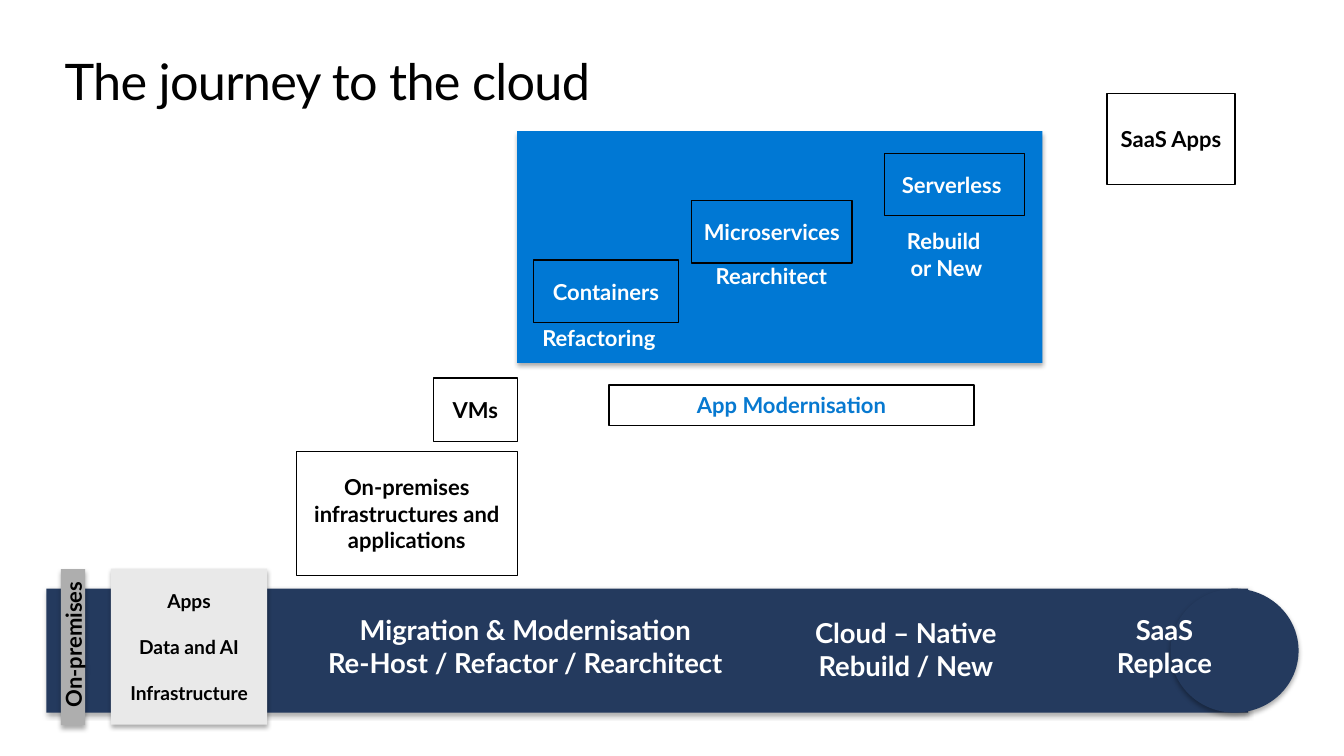
import pptx
import pptx.util
from lxml import etree
from pptx.dml.color import RGBColor
from pptx.enum.shapes import MSO_SHAPE
from pptx.enum.text import MSO_ANCHOR, PP_ALIGN
from pptx.oxml.ns import qn
from pptx.util import Inches, Pt

BLACK = RGBColor(0x00, 0x00, 0x00)
WHITE = RGBColor(0xFF, 0xFF, 0xFF)
AZURE = RGBColor(0x00, 0x78, 0xD4)
LABEL_BLUE = RGBColor(0x07, 0x79, 0xD0)
NAVY = RGBColor(0x24, 0x3A, 0x5E)
GREY = RGBColor(0xAE, 0xAE, 0xAE)
PALE_GREY = RGBColor(0xE9, 0xE9, 0xE9)


class JourneySlide:
    """Holds the slide, its text style and the shapes being added to."""

    font = "Lato"
    label_size = 15.7
    stage_size = 19.6

    def __init__(self, deck):
        self.slide = deck.slides.add_slide(deck.slide_layouts[5])
        self.target = self.slide.shapes

    def start_group(self):
        self.target = self.slide.shapes.add_group_shape().shapes

    def end_group(self):
        self.target = self.slide.shapes

    def set_text(self, shape, lines, size, color, bold=True, align=PP_ALIGN.CENTER,
                 anchor=MSO_ANCHOR.MIDDLE, side=0, edge=0.05, gap=0):
        frame = shape.text_frame
        frame_format = {
            "word_wrap": True, "vertical_anchor": anchor,
            "margin_left": Inches(side), "margin_right": Inches(side),
            "margin_top": Inches(edge), "margin_bottom": Inches(edge),
        }
        for name, value in frame_format.items():
            setattr(frame, name, value)
        frame.text = "\n".join(lines)
        font_format = {"name": self.font, "size": Pt(size), "bold": bold}
        for index, paragraph in enumerate(frame.paragraphs):
            paragraph.alignment = align
            paragraph.space_before = Pt(gap if index else 0)
            font = paragraph.runs[0].font
            for name, value in font_format.items():
                setattr(font, name, value)
            font.color.rgb = color

    def title(self, text, left, top, width, height):
        heading = self.slide.shapes.title
        place = {"left": left, "top": top, "width": width, "height": height}
        for name, value in place.items():
            setattr(heading, name, Inches(value))
        self.set_text(heading, [text], 36, BLACK, bold=False, align=PP_ALIGN.LEFT,
                      anchor=MSO_ANCHOR.TOP, edge=0)
        run = heading.text_frame.paragraphs[0].runs[0]
        run.font._element.set("spc", "-50")

    def panel(self, left, top, width, height, fill, kind=MSO_SHAPE.RECTANGLE):
        """Filled shape with a soft shadow straight below it."""
        panel = self.target.add_shape(kind, *map(Inches, (left, top, width, height)))
        panel.fill.solid()
        panel.fill.fore_color.rgb = fill
        panel.line.fill.background()
        effects = etree.SubElement(panel._element.spPr, qn("a:effectLst"))
        shadow = etree.SubElement(
            effects, qn("a:outerShdw"), blurRad=str(Pt(3.5)), dist=str(Pt(2.2)),
            dir="5400000", algn="t", rotWithShape="0")
        tint = etree.SubElement(shadow, qn("a:srgbClr"), val=str(BLACK))
        etree.SubElement(tint, qn("a:alpha"), val="32000")
        return panel

    def box(self, text, left, top, width, height, color=BLACK):
        """Outlined box with a centred label."""
        box = self.target.add_shape(
            MSO_SHAPE.RECTANGLE, *map(Inches, (left, top, width, height)))
        box.shadow.inherit = False
        box.fill.background()
        box.line.color.rgb = BLACK
        box.line.width = Pt(0.85)
        self.set_text(box, [text], self.label_size, color)

    def text(self, lines, left, top, width, height, size, **style):
        label = self.target.add_textbox(*map(Inches, (left, top, width, height)))
        self.set_text(label, lines, size, WHITE, **style)


def main():
    deck = pptx.Presentation()
    deck.slide_width, deck.slide_height = Inches(13.33), Inches(7.5)
    journey = JourneySlide(deck)

    # Title and modernisation panel
    journey.title("The journey to the cloud", 0.64, 0.5, 12.05, 0.61)
    journey.panel(5.13, 1.3, 5.21, 2.3, AZURE)

    # Journey bar with its rounded end
    journey.start_group()
    journey.panel(0.46, 5.84, 11.92, 1.23, NAVY)
    journey.panel(11.61, 5.84, 1.27, 1.23, NAVY, MSO_SHAPE.FLOWCHART_CONNECTOR)

    # Starting point on the bar
    on_premises = journey.panel(-0.05, 6.3, 1.55, 0.24, GREY)
    on_premises.rotation = 270
    journey.set_text(on_premises, [" On-premises"], journey.label_size, BLACK)
    estate = journey.panel(1.1, 5.64, 1.55, 1.55, PALE_GREY)
    journey.set_text(estate, ["Apps", "Data and AI", "Infrastructure"], 13.7, BLACK,
                     gap=16.4)

    # Stages on the bar
    for lines, left, top, width in (
        (["Migration & Modernisation", "Re-Host / Refactor / Rearchitect"],
         2.65, 6.12, 5.12),
        (["Cloud – Native", "Rebuild / New"], 7.54, 6.15, 2.89),
        (["SaaS", "Replace"], 10.68, 6.12, 1.74),
    ):
        journey.text(lines, left, top, width, 0.58, journey.stage_size)
    journey.end_group()

    # Steps outside the panel
    journey.box("On-premises infrastructures and applications",
                2.94, 4.48, 2.19, 1.23)
    journey.box("VMs", 4.3, 3.75, 0.83, 0.63)
    journey.box("SaaS Apps", 10.98, 0.93, 1.27, 0.9)

    # Steps inside the panel, each with its approach below
    journey.start_group()
    for step, left, top, width in (
        ("Containers", 5.29, 2.58, 1.44),
        ("Microservices", 6.86, 1.99, 1.59),
        ("Serverless ", 8.77, 1.52, 1.39),
    ):
        journey.box(step, left, top, width, 0.62, WHITE)
    for lines, left, top, width, height, align in (
        (["Refactoring"], 5.28, 3.17, 1.41, 0.36, PP_ALIGN.LEFT),
        (["Rearchitect"], 7, 2.56, 1.36, 0.36, PP_ALIGN.LEFT),
        (["Rebuild", " or New"], 8.85, 2.21, 1.02, 0.63, PP_ALIGN.CENTER),
    ):
        journey.text(lines, left, top, width, height, journey.label_size,
                     align=align, anchor=MSO_ANCHOR.TOP, side=0.1)
    journey.end_group()

    # Panel caption
    journey.box("App Modernisation", 6.04, 3.82, 3.62, 0.4, LABEL_BLUE)

    deck.save("out.pptx")


if __name__ == "__main__":
    main()
